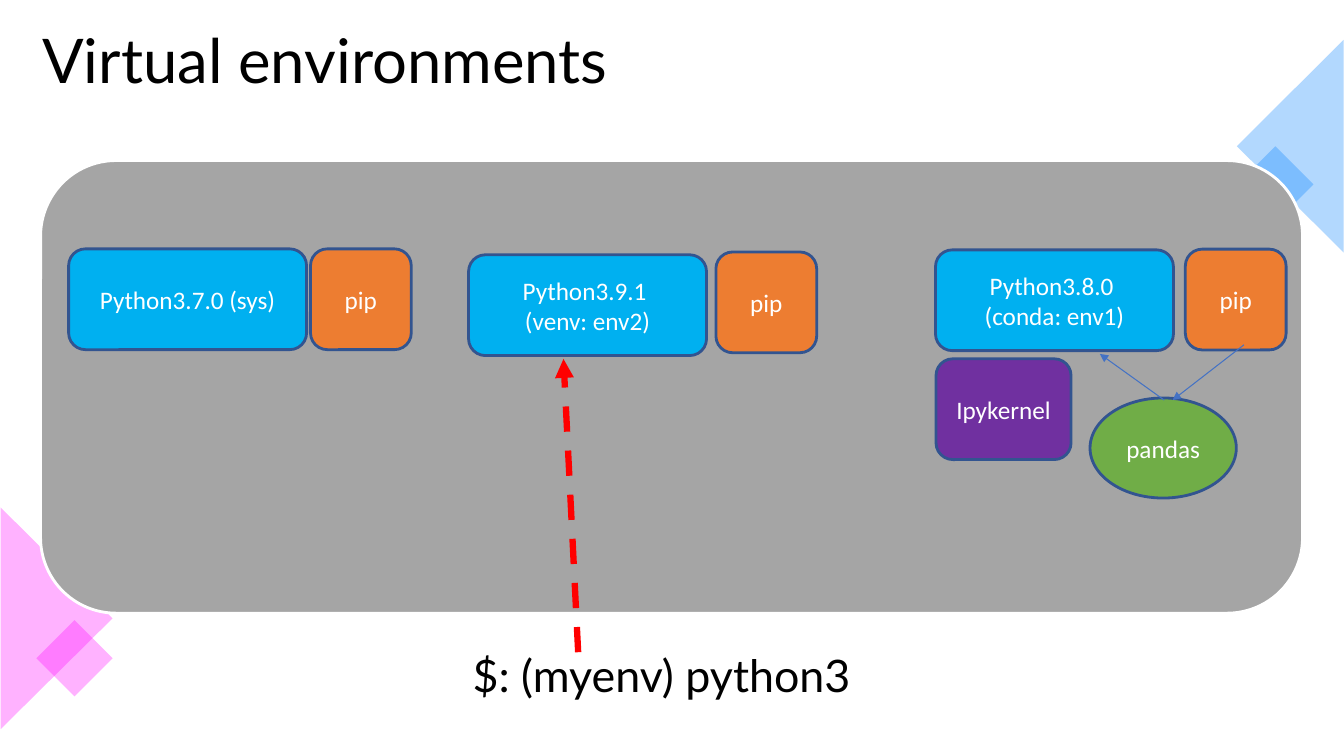
from lxml.etree import SubElement
from pptx import Presentation
from pptx.dml.color import RGBColor
from pptx.enum.dml import MSO_LINE
from pptx.enum.shapes import MSO_CONNECTOR as CONNECTOR, MSO_SHAPE as SHAPE
from pptx.enum.text import MSO_ANCHOR, MSO_AUTO_SIZE, PP_ALIGN
from pptx.oxml.ns import qn
from pptx.util import Pt

BLUE, ORANGE, GREEN, PURPLE = "00B0F0", "ED7D31", "70AD47", "7030A0"
GRAY, WHITE, BLACK, RED = "A5A5A5", "FFFFFF", "000000", "FF0000"
OUTLINE, ARROW = "325490", "4472C4"
PINK_CORNER, BLUE_CORNER = "FF00FF", "007FFE"


def color(value):
    return RGBColor.from_string(value)


def format_text(text_frame, size, font_name, font_color, alignment):
    for paragraph in text_frame.paragraphs:
        paragraph.alignment = alignment
        for run in paragraph.runs:
            run.font.size = Pt(size)
            run.font.name = font_name
            run.font.color.rgb = color(font_color)


def add_filled_shape(slide, kind, box, fill, line=None):
    shape = slide.shapes.add_shape(kind, *map(Pt, box))
    shape.shadow.inherit = False
    shape.fill.solid()
    shape.fill.fore_color.rgb = color(fill)
    if line:
        shape.line.color.rgb = color(line)
        shape.line.width = Pt(2)
    else:
        shape.line.fill.background()
    return shape


def add_labeled_shape(slide, kind, box, fill, label):
    shape = add_filled_shape(slide, kind, box, fill, OUTLINE)
    shape.text_frame.text = label
    shape.text_frame.vertical_anchor = MSO_ANCHOR.MIDDLE
    format_text(shape.text_frame, 18, "Calibri", WHITE, PP_ALIGN.CENTER)


def add_arrow(slide, start, end, line_color, width, dash=None):
    connector = slide.shapes.add_connector(
        CONNECTOR.STRAIGHT, *map(Pt, start + end))
    connector.line.color.rgb = color(line_color)
    connector.line.width = Pt(width)
    if dash:
        connector.line.dash_style = dash
    properties = connector._element.spPr
    SubElement(properties.find(qn("a:ln")), qn("a:tailEnd"), type="triangle")
    SubElement(properties, qn("a:effectLst"))


def add_corner(slide, box, fill, rotation, square_share):
    left, top, width, height = box
    center_x, center_y = left + width / 2, top + height / 2
    side = 38.5
    triangle_box = (center_x - height / 2, center_y - width / 2, height, width)
    square_box = (left + width * square_share - side / 2,
                  top + height * 0.68 - side / 2, side, side)
    for kind, part_box, angle in ((SHAPE.ISOSCELES_TRIANGLE, triangle_box, rotation),
                                  (SHAPE.RECTANGLE, square_box, 45)):
        shape = add_filled_shape(slide, kind, part_box, fill)
        shape.rotation = angle
        fill_element = shape._element.spPr.find(qn("a:solidFill"))
        SubElement(fill_element[0], qn("a:alpha"), val="30000")


def add_title(slide, box):
    title = slide.shapes.title
    title.left, title.top, title.width, title.height = map(Pt, box)
    text_frame = title.text_frame
    text_frame.text = "Virtual environments"
    text_frame.auto_size = MSO_AUTO_SIZE.NONE
    text_frame.vertical_anchor = MSO_ANCHOR.MIDDLE
    text_frame.paragraphs[0].line_spacing = 0.9
    format_text(text_frame, 44, "Lato", BLACK, PP_ALIGN.LEFT)


def add_environment(slide, left, top, label, pip_left, pip_top):
    add_labeled_shape(slide, SHAPE.ROUNDED_RECTANGLE,
                      (left, top, 170, 72), BLUE, label)
    add_labeled_shape(slide, SHAPE.ROUNDED_RECTANGLE,
                      (left + pip_left, top + pip_top, 72, 72), ORANGE, "pip")


def add_packages(slide, left, top):
    add_labeled_shape(slide, SHAPE.OVAL,
                      (left + 110, top + 28, 104.5, 71.5), GREEN, "pandas")
    add_arrow(slide, (left + 220, top - 10), (left + 169, top + 29.5), ARROW, 0.75)
    add_arrow(slide, (left + 163, top + 29.5), (left + 117, top - 3.5), ARROW, 0.75)
    add_labeled_shape(slide, SHAPE.ROUNDED_RECTANGLE,
                      (left, top, 96.5, 72), PURPLE, "Ipykernel")


def add_command(slide, left, top):
    command = slide.shapes.add_textbox(*map(Pt, (left, top, 327, 45.5)))
    command.text_frame.word_wrap = True
    command.text_frame.text = "$: (myenv) python3"
    format_text(command.text_frame, 32, "Lato", BLACK, PP_ALIGN.LEFT)
    add_arrow(slide, (left + 82.5, top + 6.5), (left + 72, top - 203),
              RED, 4.5, MSO_LINE.DASH)


def main():
    presentation = Presentation()
    presentation.slide_width, presentation.slide_height = Pt(960), Pt(540)
    slide = presentation.slides.add_slide(presentation.slide_layouts[5])
    add_corner(slide, (0.4, 362.5, 80, 158.4), PINK_CORNER, 90, 0.66)
    add_corner(slide, (883.5, 28.4, 76.3, 152), BLUE_CORNER, 270, 0.36)
    add_filled_shape(slide, SHAPE.ROUNDED_RECTANGLE,
                     (29, 114.7, 901.4, 323.3), GRAY, WHITE)
    add_title(slide, (23, -6.5, 828, 104.4))
    for environment in (
        (49, 177.8, "Python3.7.0 (sys)", 172.8, 0),
        (668.2, 178.5, "Python3.8.0 \v(conda: env1)", 178.5, -0.5),
        (334.7, 182, "Python3.9.1 \v(venv: env2)", 176.7, -2),
    ):
        add_environment(slide, *environment)
    add_packages(slide, 668.6, 256.3)
    add_command(slide, 330.5, 459.4)
    presentation.save("out.pptx")


if __name__ == "__main__":
    main()
